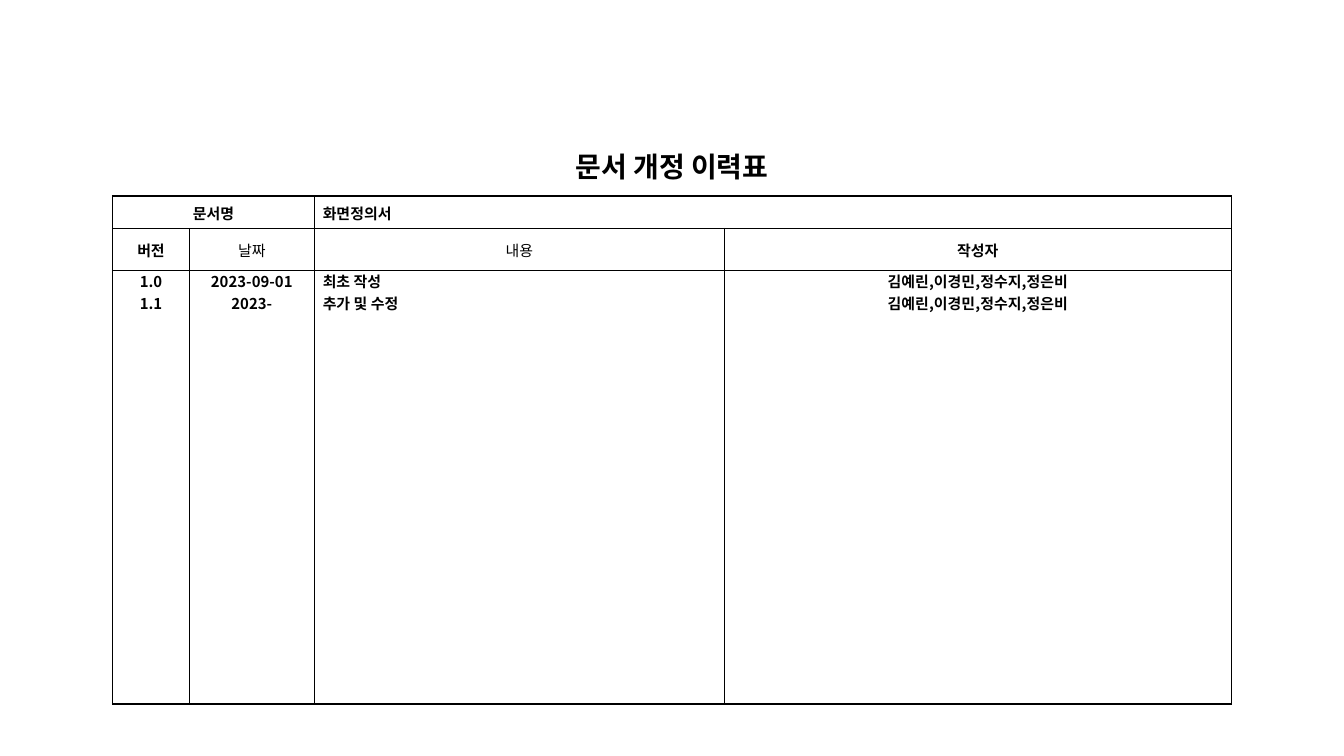
"""Build the document revision history slide."""
from lxml.etree import SubElement
from pptx import Presentation
from pptx.dml.color import RGBColor
from pptx.enum.text import MSO_ANCHOR as Anchor, PP_ALIGN as Align
from pptx.oxml import parse_xml
from pptx.oxml.ns import nsdecls, qn
from pptx.util import Cm, Pt

FONT = "Noto Sans CJK KR"
BLACK, WHITE = "000000", "FFFFFF"
AUTHORS = "김예린,이경민,정수지,정은비"
COLUMNS = (1.45, 2.36, 7.75, 9.58)
ROWS = (1.96, 0.61, 0.79, 8.2)
ROW_ANCHORS = (Anchor.BOTTOM, Anchor.MIDDLE, Anchor.MIDDLE, Anchor.TOP)
MERGES = (((0, 0), (0, 3)), ((1, 0), (1, 1)), ((1, 2), (1, 3)))
CELLS = {
    (0, 0): ["문서 개정 이력표"],
    (1, 0): ["문서명"],
    (1, 2): ["화면정의서"],
    (2, 0): ["버전"],
    (2, 1): ["날짜"],
    (2, 2): ["내용"],
    (2, 3): ["작성자"],
    (3, 0): ["1.0", "1.1"],
    (3, 1): ["2023-09-01", "2023-"],
    (3, 2): ["최초 작성", "추가 및 수정"],
    (3, 3): [AUTHORS, AUTHORS],
}
JUSTIFIED = {(1, 2), (3, 2)}
REGULAR = {(2, 1), (2, 2)}


def set_borders(cell, colors):
    properties = cell._tc.get_or_add_tcPr()
    for index, (side, color) in enumerate(zip("LRTB", colors)):
        properties.insert(index, parse_xml(
            f'<a:ln{side} {nsdecls("a")} w="12700"><a:solidFill>'
            f'<a:srgbClr val="{color}"/></a:solidFill></a:ln{side}>'))


def write_cell(cell, lines, size, bold, align):
    cell.text_frame.text = "\n".join(lines)
    for paragraph in cell.text_frame.paragraphs:
        paragraph.alignment = align
        for run in paragraph.runs:
            run.font.size, run.font.bold, run.font.name = Pt(size), bold, FONT
            run.font.color.rgb = RGBColor.from_string(BLACK)
            SubElement(run._r.get_or_add_rPr(), qn("a:ea"), typeface=FONT)


def build_table(slide):
    table = slide.shapes.add_table(
        len(ROWS), len(COLUMNS), Cm(2.13), Cm(1.75),
        Cm(sum(COLUMNS)), Cm(sum(ROWS))).table
    table.first_row = table.horz_banding = False
    for column, width in zip(table.columns, COLUMNS):
        column.width = Cm(width)
    for row, height in zip(table.rows, ROWS):
        row.height = Cm(height)
    for start, end in MERGES:
        table.cell(*start).merge(table.cell(*end))
    for row, anchor in enumerate(ROW_ANCHORS):
        for column in range(len(COLUMNS)):
            cell, key = table.cell(row, column), (row, column)
            cell.fill.background()
            cell.vertical_anchor = anchor
            cell.margin_left = cell.margin_right = Cm(0.16)
            cell.margin_top = 0
            cell.margin_bottom = Cm(0.2) if row == 0 else 0
            outer = WHITE if row == 0 else BLACK
            set_borders(cell, (outer, outer, outer, BLACK))
            write_cell(cell, CELLS.get(key, []), 15 if row == 0 else 8,
                       key not in REGULAR,
                       Align.JUSTIFY if key in JUSTIFIED else Align.CENTER)


def main():
    presentation = Presentation()
    presentation.slide_width, presentation.slide_height = Cm(25.4), Cm(14.29)
    build_table(presentation.slides.add_slide(presentation.slide_layouts[6]))
    presentation.save("out.pptx")


if __name__ == "__main__":
    main()
